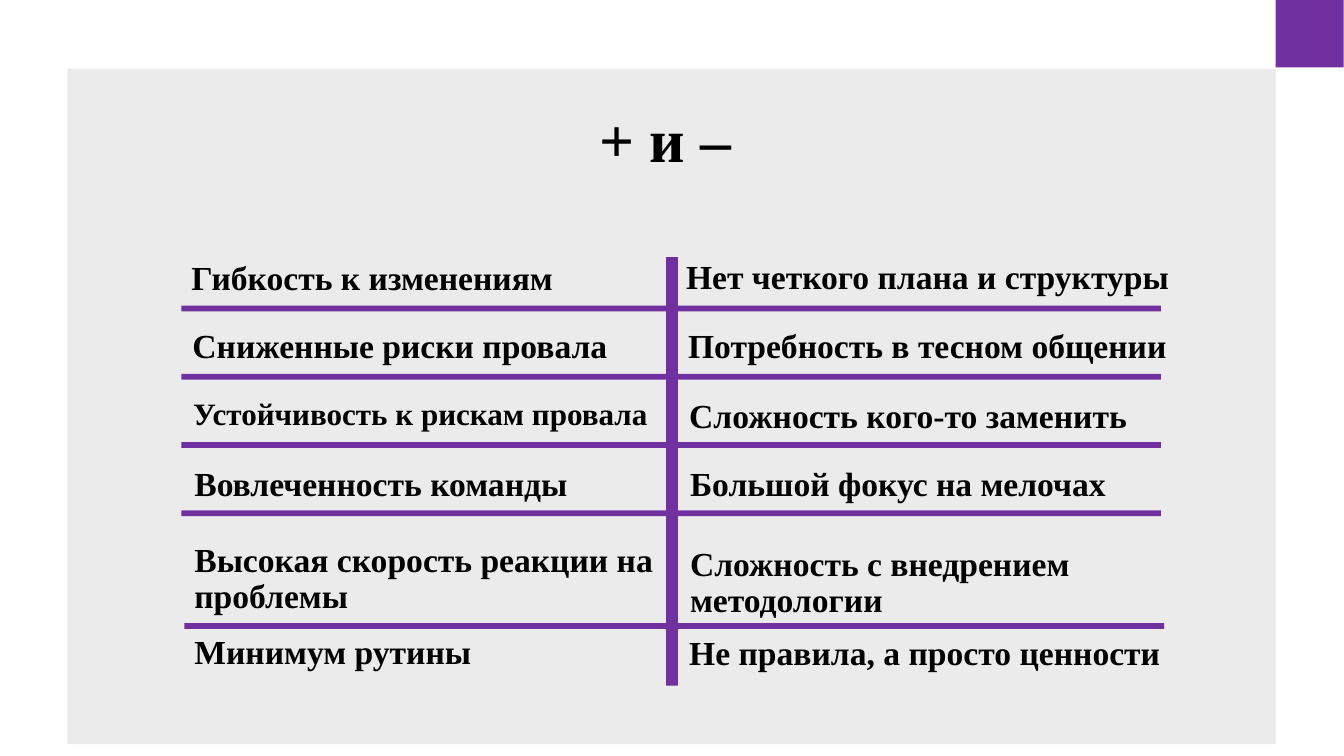
from lxml.etree import SubElement
from pptx import Presentation
from pptx.dml.color import RGBColor
from pptx.enum.shapes import MSO_SHAPE
from pptx.enum.text import MSO_ANCHOR, MSO_AUTO_SIZE, PP_ALIGN
from pptx.oxml.ns import qn
from pptx.util import Cm, Pt

HUES = {"panel": "D9D9D9", "accent": "7030A0", "ink": "000000"}
FONT = "Times New Roman"
PROS = [
    ("Гибкость к изменениям", 0, 0, 12.22, 1.22, 24),
    ("Сниженные риски провала", 0.03, 1.73, 12.22, 1.22, 24),
    ("Устойчивость к рискам провала", 0.05, 3.48, 12.22, 1.22, 22.2),
    ("Вовлеченность команды", 0.08, 5.21, 12.22, 1.22, 24),
    ("Высокая скорость реакции на проблемы", 0.08, 7.11, 12.07, 2.11, 24),
    ("Минимум рутины", 0.08, 9.45, 12.22, 1.22, 24),
]
CONS = [
    ("Нет четкого плана и структуры", 0, 0, 13.26, 1.32, 24),
    ("Потребность в тесном общении", 0.05, 1.73, 12.67, 1.19, 24),
    ("Сложность кого-то заменить", 0.08, 3.48, 12.65, 1.27, 24),
    ("Большой фокус на мелочах", 0.1, 5.21, 12.22, 1.22, 24),
    ("Сложность с внедрением методологии", 0.1, 7.21, 12.22, 1.93, 24),
    ("Не правила, а просто ценности", 0.08, 9.47, 13.26, 1.32, 24),
]


def place(shape, x, y, w, h):
    """Move a shape to a box in centimetres."""
    shape.left, shape.top, shape.width, shape.height = map(Cm, (x, y, w, h))


def block(slide, hue, x, y, w, h):
    """Add a plain filled rectangle."""
    shape = slide.shapes.add_shape(MSO_SHAPE.RECTANGLE, *map(Cm, (x, y, w, h)))
    shape.shadow.inherit = False
    shape.fill.solid()
    shape.fill.fore_color.rgb = RGBColor.from_string(HUES[hue])
    shape.line.fill.background()
    return shape


def write(shape, text, size, anchor=MSO_ANCHOR.TOP, align=PP_ALIGN.LEFT):
    """Fill a text shape with one bold, unbulleted paragraph."""
    frame = shape.text_frame
    frame.word_wrap = True
    frame.auto_size = MSO_AUTO_SIZE.NONE
    frame.vertical_anchor = anchor
    para = frame.paragraphs[0]
    props = para._p.get_or_add_pPr()
    props.set("marL", "0")
    props.set("indent", "0")
    SubElement(props, qn("a:buNone"))
    para.alignment = align
    para.line_spacing = 0.9
    para.space_before = Pt(0)
    run = para.add_run()
    run.text = text
    font = run.font
    font.name, font.size, font.bold = FONT, Pt(size), True
    font.color.rgb = RGBColor.from_string(HUES["ink"])


def frame(slide, x, y, w, h):
    """Draw the pale panel and the square off its upper right corner."""
    panel = block(slide, "panel", x, y, w, h)
    tint = panel.fill._xPr.find(".//" + qn("a:srgbClr"))
    SubElement(tint, qn("a:alpha")).set("val", "50000")
    block(slide, "accent", x + w, 0, 1.71, 1.7)


def head(slide, x, y, w, h):
    """Set the slide title."""
    title = slide.shapes.title
    place(title, x, y, w, h)
    write(title, "+ и – ", 44, MSO_ANCHOR.BOTTOM, PP_ALIGN.CENTER)


def grid(slide, x, y, w, h):
    """Draw the divider and the rules between the rows."""
    block(slide, "accent", x + w / 2 - 0.13, y + 0.03, 0.3, h)
    for row in range(4):
        block(slide, "accent", x, y + 1.25 + row * 1.72, w, 0.15)
    block(slide, "accent", x + 0.08, y + 9.25, w, 0.15)


def column(slide, items, x, y, body=None):
    """Write a column of points, the first one in the body if given."""
    for text, dx, dy, w, h, size in items:
        shape = body or slide.shapes.add_textbox(0, 0, 0, 0)
        body = None
        place(shape, x + dx, y + dy, w, h)
        write(shape, text, size)


def main():
    """Build and save the slide."""
    deck = Presentation()
    deck.slide_width, deck.slide_height = Cm(33.87), Cm(19.05)
    slide = deck.slides.add_slide(deck.slide_layouts[1])
    frame(slide, 1.7, 1.73, 30.45, 17.02)
    head(slide, 4.62, 1.04, 24.69, 3.51)
    grid(slide, 4.57, 6.45, 24.69, 10.8)
    column(slide, PROS, 4.57, 6.45, slide.placeholders[1])
    column(slide, CONS, 17.04, 6.45)
    tree = slide.shapes._spTree
    for holder in list(slide.placeholders):
        tree.append(holder._element)
    deck.save("out.pptx")


if __name__ == "__main__":
    main()
